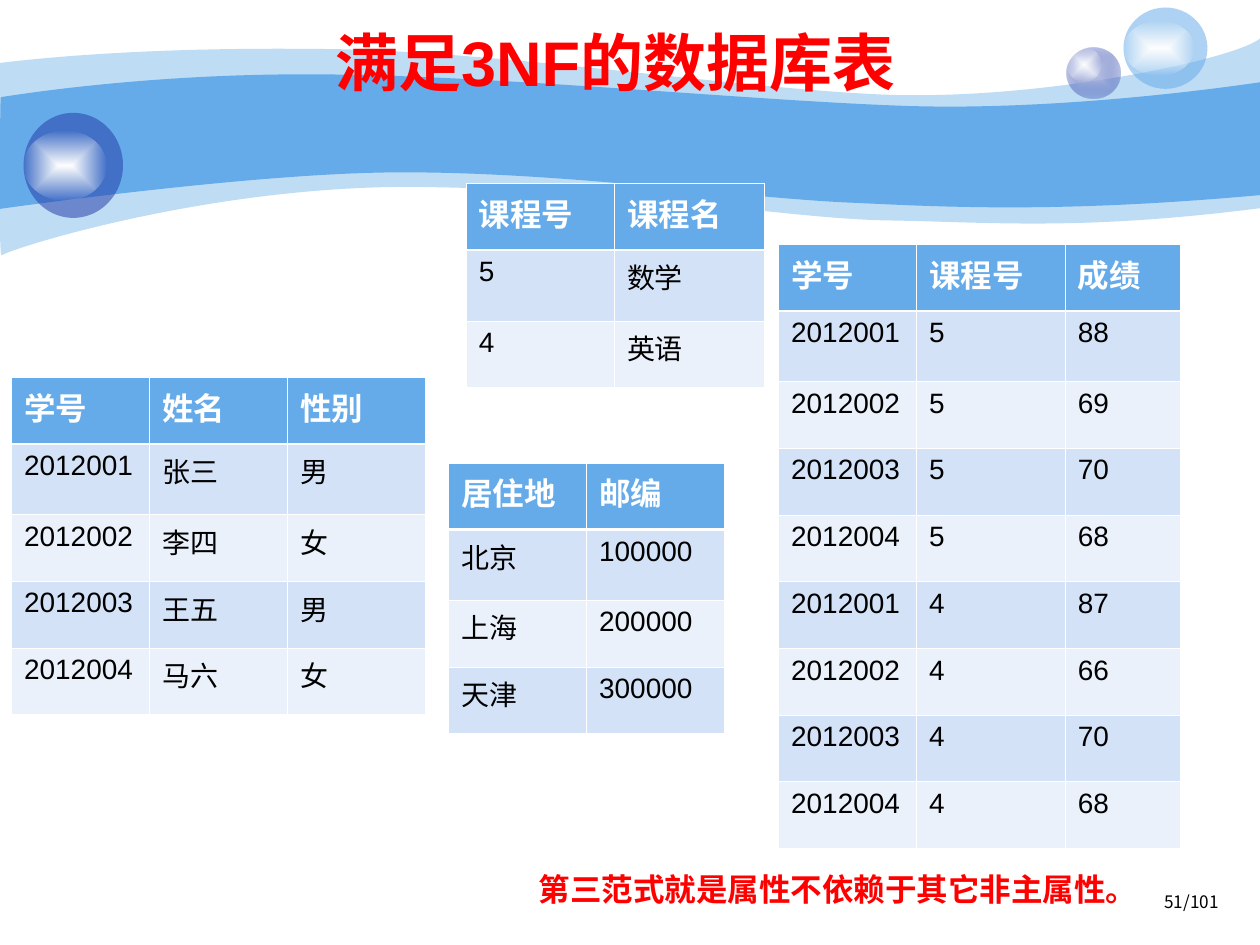
from pptx import Presentation
from pptx.dml.color import RGBColor
from pptx.enum.shapes import MSO_SHAPE as Shape
from pptx.enum.text import MSO_ANCHOR as Anchor, PP_ALIGN as Align
from pptx.oxml import parse_xml
from pptx.oxml.ns import nsdecls, qn
from pptx.util import Pt

SKY = RGBColor(0x65, 0xAA, 0xE9)
NAVY = RGBColor(0x23, 0x3D, 0xA9)
LAVENDER = RGBColor(0xC7, 0xCE, 0xE9)
BAND_DARK = RGBColor(0xD3, 0xE2, 0xF7)
BAND_LIGHT = RGBColor(0xEA, 0xF1, 0xFB)
WHITE = RGBColor(0xFF, 0xFF, 0xFF)
BLACK = RGBColor(0, 0, 0)
RED = RGBColor(0xFF, 0, 0)

LATIN = "Arial"
CJK = "Noto Sans CJK SC"
HEADER_HEIGHT, FIRST_HEIGHT, ROW_HEIGHT = 38.1, 40.4, 38.1
NARROW = 78.9
THIN, THICK = 0.45, 1.47

# Each wave is a start point followed by cubic curves (three points) and lines (one point).
PALE_WAVE = [
    (0, 36),
    [(17, 34), (77, 27), (178, 28)],
    [(278, 28), (414, 50), (503, 54)],
    [(592, 58), (706, 34), (720, 22)],
    [(720, 119)],
    [(618, 132), (567, 127), (508, 126)],
    [(448, 125), (371, 109), (247, 107)],
    [(124, 104), (3, 143), (1, 146)],
    [(-1, 150), (0, 54), (0, 36)],
]
DEEP_WAVE = [
    (0.5, 55.5),
    [(1.5, 55.5), (79, 42), (178.5, 42.5)],
    [(278, 42.5), (428, 57.5), (517, 60.5)],
    [(605.5, 63.5), (703, 49.5), (720, 47)],
    [(720, 111.5)],
    [(614, 121), (551, 119), (491, 116)],
    [(431, 114), (322, 98), (228, 98.5)],
    [(146, 98.5), (-1.5, 119.5), (-1, 119.5)],
    [(0, 119.5), (0, 55.5), (0.5, 55.5)],
]

STUDENTS = [
    ("学号", "姓名", "性别"),
    ("2012001", "张三", "男"),
    ("2012002", "李四", "女"),
    ("2012003", "王五", "男"),
    ("2012004", "马六", "女"),
]
COURSES = [("课程号", "课程名"), ("5", "数学"), ("4", "英语")]
SCORES = [
    ("学号", "课程号", "成绩"),
    ("2012001", "5", "88"),
    ("2012002", "5", "69"),
    ("2012003", "5", "70"),
    ("2012004", "5", "68"),
    ("2012001", "4", "87"),
    ("2012002", "4", "66"),
    ("2012003", "4", "70"),
    ("2012004", "4", "68"),
]
POSTCODES = [("居住地", "邮编"), ("北京", "100000"), ("上海", "200000"), ("天津", "300000")]


def add_run(paragraph, text, size, color, bold=False, latin=LATIN):
    run = paragraph.add_run()
    run.text = text
    font = run.font
    font.size, font.bold, font.name = Pt(size), bold, latin
    font.color.rgb = color
    font._element.find(qn("a:latin")).addnext(
        parse_xml(f'<a:ea {nsdecls("a")} typeface="{CJK}"/>'))


def add_label(slide, box, text, size, color, align, spacing=1.0, wrap=True, **style):
    frame = slide.shapes.add_textbox(*map(Pt, box)).text_frame
    frame.word_wrap = wrap
    paragraph = frame.paragraphs[0]
    paragraph.alignment, paragraph.line_spacing = align, spacing
    add_run(paragraph, text, size, color, **style)
    return frame


def fill_plain(shape, color, opacity=100):
    shape.shadow.inherit = False
    shape.line.fill.background()
    shape.fill.solid()
    shape.fill.fore_color.rgb = color
    if opacity < 100:
        tint = shape._element.spPr.find(".//" + qn("a:srgbClr"))
        tint.append(parse_xml(f'<a:alpha {nsdecls("a")} val="{opacity * 1000}"/>'))


def fill_glow(shape, center, edge, edge_opacity):
    """Fade from the centre colour to a translucent edge."""
    fill_plain(shape, center)
    solid = shape._element.spPr.find(qn("a:solidFill"))
    glow = parse_xml(
        f'<a:gradFill {nsdecls("a")} rotWithShape="1"><a:gsLst>'
        f'<a:gs pos="0"><a:srgbClr val="{center}"/></a:gs>'
        f'<a:gs pos="100000"><a:srgbClr val="{edge}">'
        f'<a:alpha val="{edge_opacity * 1000}"/></a:srgbClr></a:gs></a:gsLst>'
        '<a:path path="rect"><a:fillToRect l="50000" t="50000" r="50000" b="50000"/>'
        '</a:path></a:gradFill>')
    solid.getparent().replace(solid, glow)


def add_wave(slide, outline, opacity=100):
    """Build the outline from its points, then join each three-point segment into a curve."""
    start, *segments = outline
    builder = slide.shapes.build_freeform(Pt(start[0]), Pt(start[1]))
    builder.add_line_segments([(Pt(x), Pt(y)) for segment in segments for x, y in segment],
                              close=True)
    wave = builder.convert_to_shape()
    steps = iter(list(wave._element.iter(qn("a:lnTo"))))
    for segment in segments:
        group = [next(steps) for _ in segment]
        if len(group) == 3:
            curve = parse_xml(f'<a:cubicBezTo {nsdecls("a")}/>')
            group[0].addprevious(curve)
            for step in group:
                curve.append(step[0])
                step.getparent().remove(step)
    fill_plain(wave, SKY, opacity)


def add_circle(slide, box):
    return slide.shapes.add_shape(Shape.OVAL, *map(Pt, box))


def add_bubble(slide, ball, shine, color=None):
    """Draw a ball, lavender when no colour is given, with a white shine."""
    body = add_circle(slide, ball)
    if color is None:
        fill_glow(body, LAVENDER, NAVY, 31)
    else:
        fill_plain(body, color, 53)
    fill_glow(add_circle(slide, shine), WHITE, WHITE, 0)


def add_borders(cell, row):
    widths = {"L": THIN, "R": THIN,
              "T": THICK if row == 1 else THIN, "B": THICK if row == 0 else THIN}
    for side, width in widths.items():
        cell._tc.get_or_add_tcPr().append(parse_xml(
            f'<a:ln{side} {nsdecls("a")} w="{Pt(width)}"><a:solidFill>'
            f'<a:srgbClr val="{WHITE}"/></a:solidFill></a:ln{side}>'))


def add_relation(slide, left, top, widths, records):
    heights = [HEADER_HEIGHT, FIRST_HEIGHT] + [ROW_HEIGHT] * (len(records) - 2)
    table = slide.shapes.add_table(len(records), len(widths), Pt(left), Pt(top),
                                   Pt(sum(widths)), Pt(sum(heights))).table
    table.horz_banding = False
    for column, width in zip(table.columns, widths):
        column.width = Pt(width)
    for row, (record, height) in enumerate(zip(records, heights)):
        table.rows[row].height = Pt(height)
        header = row == 0
        background = SKY if header else BAND_DARK if row % 2 else BAND_LIGHT
        for col, value in enumerate(record):
            cell = table.cell(row, col)
            add_borders(cell, row)
            cell.fill.solid()
            cell.fill.fore_color.rgb = background
            add_run(cell.text_frame.paragraphs[0], value, 18 if header else 16,
                    WHITE if header else BLACK, bold=header)


def main():
    deck = Presentation()
    deck.slide_width, deck.slide_height = Pt(720), Pt(540)
    slide = deck.slides.add_slide(deck.slide_layouts[6])

    add_wave(slide, PALE_WAVE, 41)
    add_wave(slide, DEEP_WAVE)
    add_bubble(slide, (609.5, 27, 30.5, 29.2), (609.5, 27, 20, 19.5))
    add_bubble(slide, (642, 4.3, 48, 46.5), (642, 12, 40.5, 31), SKY)
    add_bubble(slide, (13.5, 64.5, 56.8, 60), (13.5, 74.5, 47.5, 40), NAVY)

    title = add_label(slide, (60.5, 13, 582, 44.5), "满足3NF的数据库表", 36, RED,
                      Align.CENTER, bold=True)
    title.vertical_anchor = Anchor.MIDDLE
    add_label(slide, (535.5, 508, 168, 21), "51/101", 9.8, BLACK, Align.RIGHT,
              spacing=0.8, latin=CJK)

    add_relation(slide, 6.6, 215.7, [NARROW] * 3, STUDENTS)
    add_relation(slide, 266.4, 104.9, (84.7, 85.7), COURSES)
    add_relation(slide, 444.9, 139.7, (NARROW, 84.9, 66.1), SCORES)
    add_relation(slide, 256.3, 264.5, [NARROW] * 2, POSTCODES)

    add_label(slide, (300.7, 496, 356.5, 26.5), "第三范式就是属性不依赖于其它非主属性。", 18, RED,
              Align.JUSTIFY, spacing=0.9, wrap=False, bold=True)
    deck.save("out.pptx")


if __name__ == "__main__":
    main()
